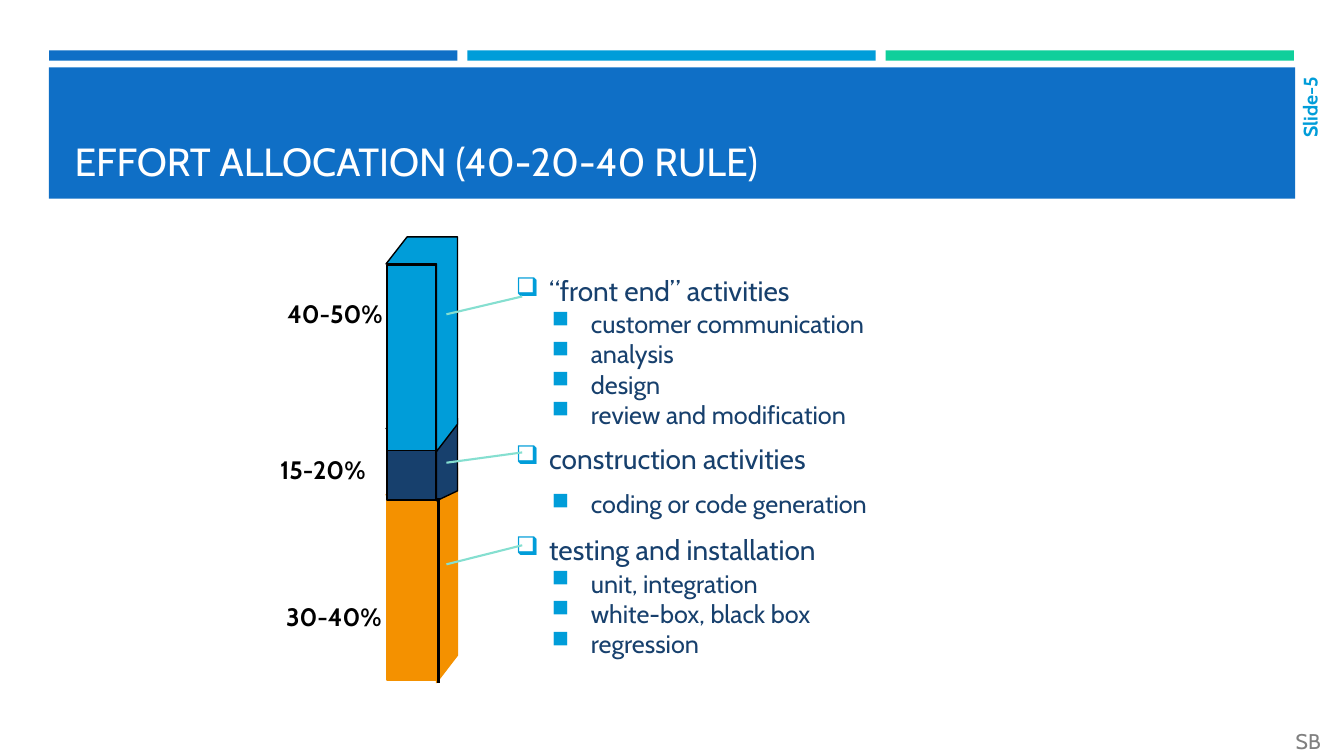
from dataclasses import dataclass
from typing import NamedTuple

from lxml import etree
from pptx import Presentation, util as u
from pptx.dml.color import RGBColor
from pptx.enum import shapes, text
from pptx.oxml import ns


@dataclass(frozen=True)
class Theme:
    font: str = "Cabin"
    blue: str = "0F6FC6"
    sky: str = "009DD9"
    green: str = "10CF9B"
    navy: str = "17406D"
    orange: str = "F49100"
    mint: str = "85DFD0"
    black: str = "000000"
    white: str = "FFFFFF"
    grey: str = "808080"
    title: float = 28
    topic: float = 20
    detail: float = 18
    share: float = 18
    number: float = 14
    footer: float = 15.2


class Box(NamedTuple):
    left: float
    top: float
    width: float
    height: float

    def emu(self) -> list:
        return [u.Cm(v) for v in self]


@dataclass(frozen=True)
class Block:
    """One part of the column: a front face over a folded side-and-top outline."""
    fill: str
    line: str
    face_top: float
    face_height: float
    top: float
    fold: float
    side_bottom: float
    bottom: float


class Share(NamedTuple):
    label: str
    left: float
    top: float


class Callout(NamedTuple):
    text_y: float
    block_y: float


class Topic(NamedTuple):
    heading: str
    details: list
    spacing: float | None


T = Theme()
ANCHOR, ALIGN = text.MSO_ANCHOR, text.PP_ALIGN

BAR_COLOURS = [T.blue, T.sky, T.green]
BAR, BAR_PITCH = Box(1.24, 1.27, 10.29, 0.26), 10.54

BLOCKS = [
    Block(T.orange, T.orange, 12.47, 4.67, 11.79, 12.47, 16.51, 17.2),
    Block(T.navy, T.black, 10.82, 1.78, 10.54, 10.8, 12.37, 12.62),
    Block(T.sky, T.black, 6.68, 4.67, 5.97, 6.65, 10.69, 11.38),
]
FACE_LEFT, FACE_WIDTH = 9.75, 1.24
X_LEFT, X_BACK, X_EDGE, X_RIGHT = 9.73, 10.26, 11.0, 11.53

SHARES = [Share("40-50%", 6.99, 7.47), Share("30-40%", 6.96, 15.11),
          Share("15-20%", 6.81, 11.4)]
CALLOUTS = [Callout(7.47, 7.92), Callout(11.4, 11.66), Callout(13.74, 14.22)]
TOPICS = [
    Topic("“front end” activities",
          ["customer communication", "analysis", "design",
           "review and modification"], 0.55),
    Topic("construction activities", ["coding or code generation"], None),
    Topic("testing and installation",
          ["unit, integration", "white-box, black box", "regression"], 0.55),
]


def set_all(obj, **values) -> None:
    for name, value in values.items():
        setattr(obj, name, value)


def paint(sp, fill: str, line: str | None = None) -> None:
    sp.shadow.inherit = False
    sp.fill.solid()
    sp.fill.fore_color.rgb = RGBColor.from_string(fill)
    if line:
        sp.line.color.rgb = RGBColor.from_string(line)
        sp.line.width = u.Pt(1)
    else:
        sp.line.fill.background()


def add_rect(s, box: Box, fill: str, line: str | None = None) -> None:
    paint(s.shapes.add_shape(shapes.MSO_SHAPE.RECTANGLE, *box.emu()), fill, line)


def add_line(s, x1: float, y1: float, x2: float, y2: float, colour: str) -> None:
    ends = [u.Cm(v) for v in (x1, y1, x2, y2)]
    cn = s.shapes.add_connector(shapes.MSO_CONNECTOR.STRAIGHT, *ends)
    cn.line.color.rgb = RGBColor.from_string(colour)
    cn.line.width = u.Pt(1.5)
    etree.SubElement(cn._element.spPr, ns.qn("a:effectLst"))


def add_run(p, words: str, size: float, colour: str, bold: bool = False) -> None:
    r = p.add_run()
    r.text = words
    set_all(r.font, name=T.font, size=u.Pt(size), bold=bold)
    r.font.color.rgb = RGBColor.from_string(colour)


def add_frame(s, box: Box, **values):
    tf = s.shapes.add_textbox(*box.emu()).text_frame
    set_all(tf, **{"word_wrap": True, **values})
    return tf


def add_bullet(p, words: str, level: int, spacing: float | None) -> None:
    set_all(p, level=level, line_spacing=spacing, space_before=u.Pt(0),
            space_after=u.Pt(6))
    pPr = p._p.get_or_add_pPr()
    pPr.set("marL", str(u.Cm(1.75 if level else 0.84)))
    pPr.set("indent", str(u.Cm(-0.84)))
    # Space before is a share of the type size
    before = pPr.find(ns.qn("a:spcBef"))
    before.remove(before[0])
    etree.SubElement(before, ns.qn("a:spcPct"), val="20000")
    colour = etree.SubElement(pPr, ns.qn("a:buClr"))
    etree.SubElement(colour, ns.qn("a:srgbClr"), val=T.sky)
    etree.SubElement(pPr, ns.qn("a:buSzPct"), val="92000")
    etree.SubElement(pPr, ns.qn("a:buChar"), char="■" if level else "❑")
    add_run(p, f" {words}" if level else words,
            T.detail if level else T.topic, T.navy)


def add_block(s, b: Block) -> None:
    add_rect(s, Box(FACE_LEFT, b.face_top, FACE_WIDTH, b.face_height), b.fill, b.line)
    outline = [(X_EDGE, b.bottom), (X_RIGHT, b.side_bottom), (X_RIGHT, b.top),
               (X_BACK, b.top), (X_LEFT, b.fold), (X_EDGE, b.fold)]
    points = [(u.Cm(x), u.Cm(y)) for x, y in outline]
    fb = s.shapes.build_freeform(*points[0])
    fb.add_line_segments(points[1:], close=True)
    paint(fb.convert_to_shape(), b.fill, b.line)


def main() -> None:
    prs = Presentation()
    set_all(prs, slide_width=u.Cm(33.87), slide_height=u.Cm(19.05))
    s = prs.slides.add_slide(prs.slide_layouts[6])

    # Header bars and title band
    for i, colour in enumerate(BAR_COLOURS):
        add_rect(s, BAR._replace(left=BAR.left + i * BAR_PITCH), colour)
    add_rect(s, Box(1.23, 1.7, 31.41, 3.31), T.blue)
    tf = add_frame(s, Box(1.63, 1.96, 30.63, 2.82), vertical_anchor=ANCHOR.BOTTOM)
    add_run(tf.paragraphs[0], "EFFORT ALLOCATION (40-20-40 RULE)", T.title, T.white)

    # Slide number, turned upwards
    tf = add_frame(s, Box(32.69, 1.68, 0.64, 2.31), vertical_anchor=ANCHOR.MIDDLE)
    tf._txBody.bodyPr.set("vert", "vert270")
    tf.paragraphs[0].alignment = ALIGN.RIGHT
    add_run(tf.paragraphs[0], "Slide-5", T.number, T.sky, bold=True)

    # Activities
    tf = add_frame(s, Box(12.75, 6.4, 11, 10.64), vertical_anchor=ANCHOR.MIDDLE)
    rows = [row for t in TOPICS for row in
            [(t.heading, 0, None), *((d, 1, t.spacing) for d in t.details)]]
    for i, row in enumerate(rows):
        add_bullet(tf.add_paragraph() if i else tf.paragraphs[0], *row)

    # Effort column with its shares
    for block in BLOCKS:
        add_block(s, block)
    for share in SHARES:
        tf = add_frame(s, Box(share.left, share.top, 3.43, 1.17), word_wrap=False,
                       auto_size=text.MSO_AUTO_SIZE.SHAPE_TO_FIT_TEXT)
        tf.paragraphs[0].line_spacing = 0.9
        add_run(tf.paragraphs[0], share.label, T.share, T.black, bold=True)

    # Lines from the activities to the blocks, and the column's lower edge
    for c in CALLOUTS:
        add_line(s, 13.16, c.text_y, 11.25, c.block_y, T.mint)
    add_line(s, 11.05, 12.55, 11.05, 17.2, T.black)

    # Footer initials
    tf = add_frame(s, Box(32.08, 18.29, 1.78, 0.76), vertical_anchor=ANCHOR.MIDDLE)
    tf.paragraphs[0].alignment = ALIGN.CENTER
    add_run(tf.paragraphs[0], "SB", T.footer, T.grey)

    prs.save("out.pptx")


if __name__ == "__main__":
    main()
